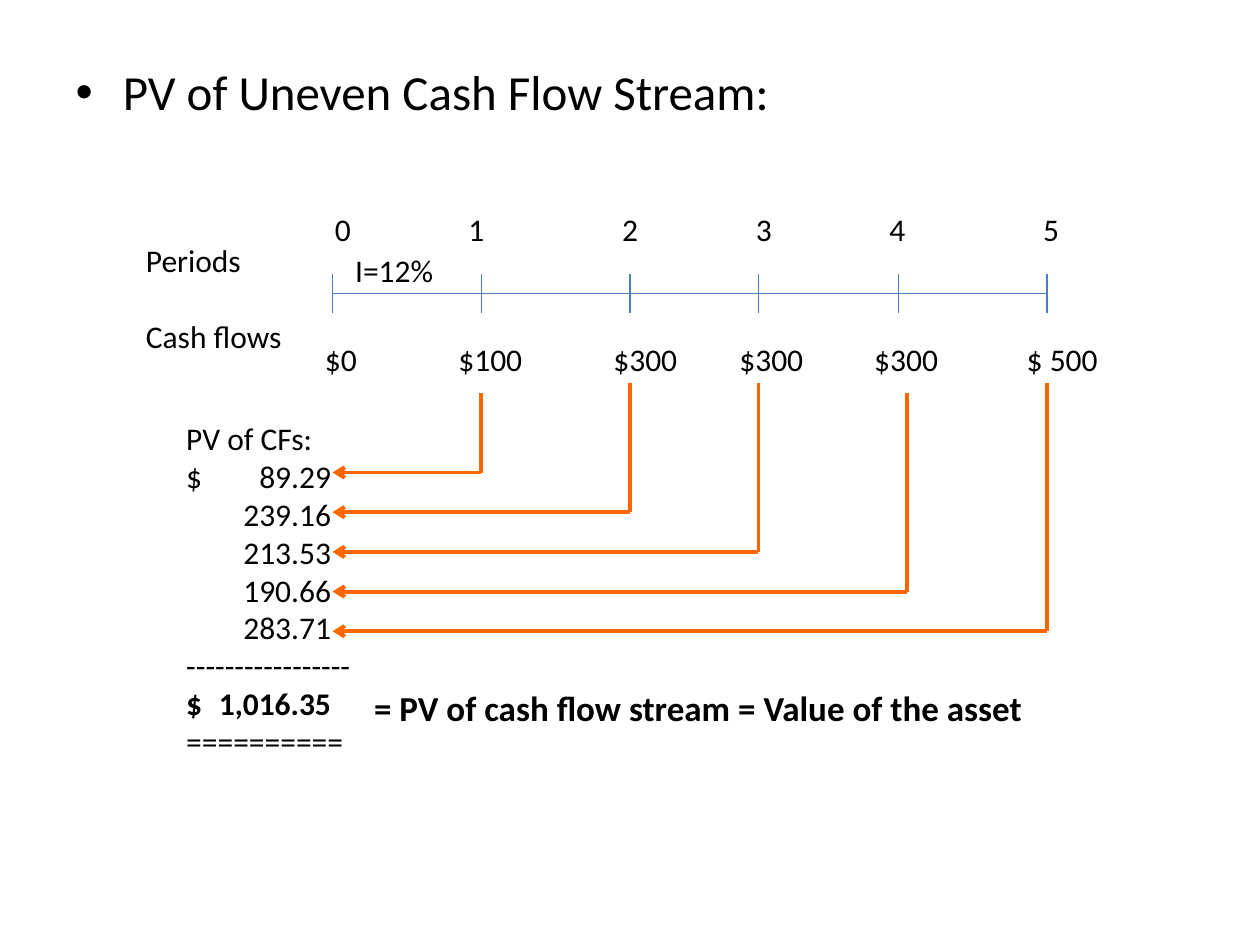
from dataclasses import dataclass

from pptx import Presentation
from pptx.dml.color import RGBColor as Rgb
from pptx.enum.shapes import MSO_CONNECTOR as Connector
from pptx.enum.text import MSO_AUTO_SIZE as AutoSize
from pptx.oxml.ns import qn
from pptx.util import Inches, Pt
from lxml.etree import SubElement


@dataclass(frozen=True)
class Theme:
    font: str = "Calibri"
    ink: Rgb = Rgb(0x00, 0x00, 0x00)
    timeline: Rgb = Rgb(0x4B, 0x7E, 0xBC)
    discount: Rgb = Rgb(0xFF, 0x66, 0x00)
    heading: Pt = Pt(28)
    result: Pt = Pt(20)
    label: Pt = Pt(18)
    thin: Pt = Pt(0.75)
    thick: Pt = Pt(2.25)


class CashFlowSlide:
    def __init__(self, deck, theme):
        self.theme = theme
        self.slide = deck.slides.add_slide(deck.slide_layouts[1])
        title = self.slide.shapes.title._element
        title.getparent().remove(title)

    def format(self, paragraph, size, bold=False):
        values = {"name": self.theme.font, "size": size, "bold": bold}
        for name, value in values.items():
            setattr(paragraph.font, name, value)
        paragraph.font.color.rgb = self.theme.ink

    def bullet(self, wording, left, top, width, height):
        body = self.slide.placeholders[1]
        place = {"left": left, "top": top, "width": width, "height": height}
        for name, value in place.items():
            setattr(body, name, Inches(value))
        paragraph = body.text_frame.paragraphs[0]
        paragraph.text = wording
        paragraph.space_before = Pt(0)
        self.format(paragraph, self.theme.heading)

    def text(self, lines, left, top, width, height, size=None, bold_lines=(),
             tabs=(), align="l", gap=0):
        """Add one paragraph per line; tabs are inches from the text edge."""
        box = self.slide.shapes.add_textbox(*map(Inches, (left, top, width, height)))
        frame = box.text_frame
        frame.word_wrap = True
        frame.auto_size = AutoSize.SHAPE_TO_FIT_TEXT
        for index, line in enumerate(lines):
            paragraph = frame.add_paragraph() if index else frame.paragraphs[0]
            paragraph.text = line
            if index and gap:
                paragraph.space_before = Pt(gap)
            if tabs:
                stops = SubElement(paragraph._p.get_or_add_pPr(), qn("a:tabLst"))
                for stop in tabs:
                    SubElement(stops, qn("a:tab"), pos=str(Inches(stop)), algn=align)
            self.format(paragraph, size or self.theme.label, index in bold_lines)

    def row(self, entries, starts, left, top, width):
        """Set entries on one line, each beginning at its own slide position."""
        tabs = [start - left - 0.1 for start in starts]
        self.text(["\t".join(entries)], left, top, width, 0.4, tabs=tabs)

    def line(self, start, end, color, width, arrow=False):
        line = self.slide.shapes.add_connector(
            Connector.STRAIGHT, *map(Inches, (*start, *end)))
        line.line.color.rgb = color
        line.line.width = width
        if arrow:
            SubElement(line.line._get_or_add_ln(), qn("a:tailEnd"), type="arrow")
        SubElement(line._element.spPr, qn("a:effectLst"))

    def timeline(self, ticks, axis, half_tick):
        style = self.theme.timeline, self.theme.thin
        self.line((ticks[0], axis), (ticks[-1], axis), *style)
        for tick in ticks:
            self.line((tick, axis - half_tick), (tick, axis + half_tick), *style)

    def discount_path(self, x, top, bottom, target):
        """Lead a cash flow down and back to its present value."""
        style = self.theme.discount, self.theme.thick
        self.line((x, top), (x, bottom), *style)
        self.line((x, bottom), (target, bottom), *style, arrow=True)


def main():
    deck = Presentation()
    deck.slide_width, deck.slide_height = Inches(10), Inches(7.5)
    theme = Theme()
    page = CashFlowSlide(deck, theme)

    page.bullet("PV of Uneven Cash Flow Stream:", 0.5, 0.44, 9, 6.54)

    ticks = [2.64, 3.82, 5, 6.02, 7.13, 8.31]
    page.timeline(ticks, axis=2.33, half_tick=0.155)
    page.row("012345", [3.72, 4.94, 6, 7.06, 8.28], 2.56, 1.62, 6.46)
    page.row(["$0", "$100", "$300", "$300", "$300", "$ 500"],
             [3.64, 4.87, 5.87, 6.94, 8.15], 2.48, 2.65, 7.01)
    page.text(["Periods", "Cash flows"], 1.06, 1.86, 1.5, 1.01, gap=22)
    page.text(["I=12%"], 2.72, 1.94, 1.02, 0.4)

    present_values = ["PV of CFs:", "$\t89.29", "\t239.16", "\t213.53", "\t190.66",
                      "\t283.71", "-" * 17, "$\t1,016.35", "=" * 10]
    page.text(present_values, 1.38, 3.28, 1.57, 2.83, bold_lines=[7],
              tabs=[1.15], align="r")
    page.text(["= PV of cash flow stream = Value of the asset"],
              2.87, 5.4, 5.51, 0.44, size=theme.result, bold_lines=[0])

    first_arrow, arrow_step = 3.75, 0.315
    flows = [(3.82, 3.12), (5, 3.04), (6.02, 3.04), (7.2, 3.12), (8.31, 3.04)]
    for index, (x, top) in enumerate(flows):
        page.discount_path(x, top, first_arrow + index * arrow_step, ticks[0])

    deck.save("out.pptx")


if __name__ == "__main__":
    main()
